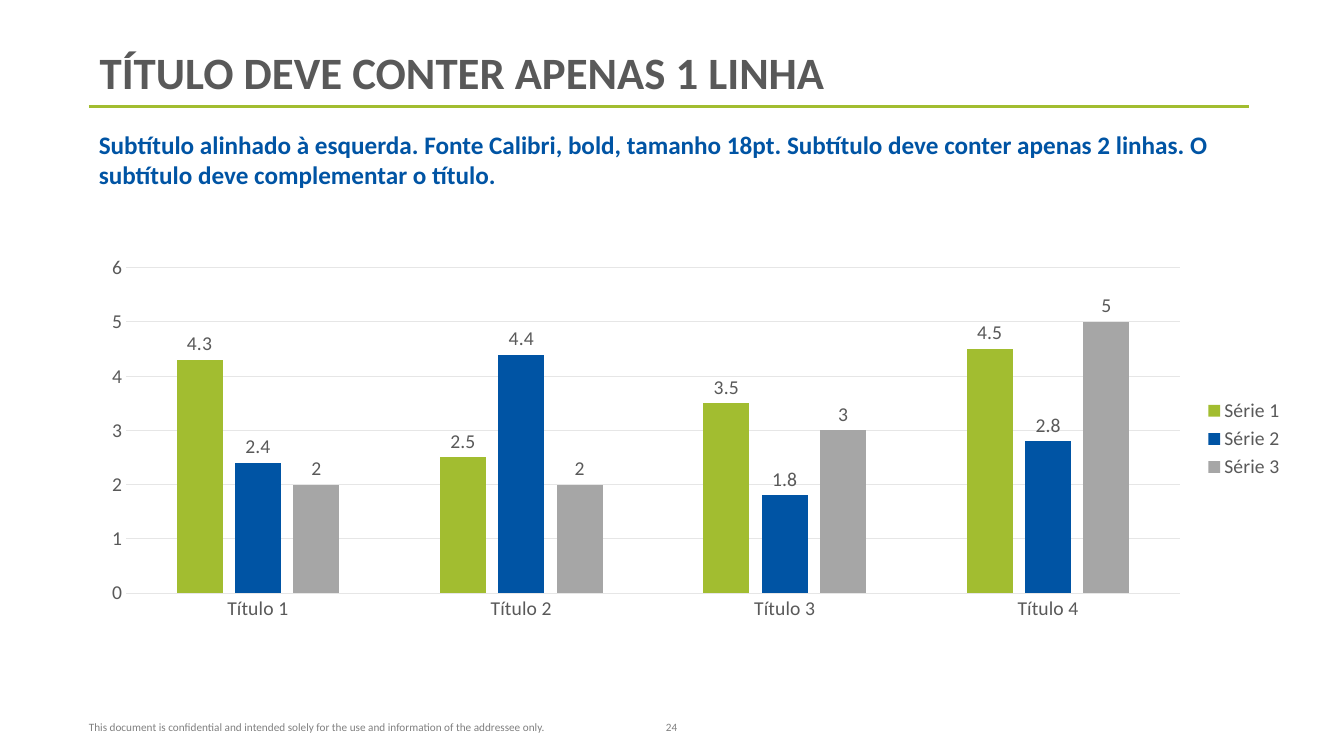
import pptx
import pptx.chart.data
import pptx.dml.color
import pptx.enum.chart
import pptx.enum.shapes
import pptx.enum.text
import pptx.oxml
import pptx.oxml.ns
import pptx.util
from pptx.util import Cm

TITLE = "TÍTULO DEVE CONTER APENAS 1 LINHA"
SUBTITLE = (
    "Subtítulo alinhado à esquerda. Fonte Calibri, bold, tamanho 18pt. "
    "Subtítulo deve conter apenas 2 linhas. O subtítulo deve complementar o título."
)
DISCLAIMER = (
    "This document is confidential and intended solely for the use "
    "and information of the addressee only."
)
PAGE_NUMBER = "24"
CATEGORIES = ["Título 1", "Título 2", "Título 3", "Título 4"]
SERIES = [
    ("Série 1", "A2BD30", (4.3, 2.5, 3.5, 4.5)),
    ("Série 2", "0054A4", (2.4, 4.4, 1.8, 2.8)),
    ("Série 3", "A6A6A6", (2, 2, 3, 5)),
]
PLOT_AREA = {"x": 0.031, "y": 0.115, "w": 0.874, "h": 0.732}

FONT = "Calibri"
GREEN, BLUE, DARK, GREY, PALE = "A2BD30", "0054A4", "595959", "808080", "E6E6E6"
LEFT = Cm(2.24)
TEXT_WIDTH = Cm(29)
FOOTER_TOP, FOOTER_HEIGHT = Cm(18.01), Cm(0.66)

ALIGN = pptx.enum.text.PP_ALIGN
ANCHOR = pptx.enum.text.MSO_ANCHOR


def color(value):
    return pptx.dml.color.RGBColor.from_string(value)


def format_font(font, size, fill, bold=False):
    font.name = FONT
    font.size = pptx.util.Pt(size)
    font.bold = bold
    font.color.rgb = color(fill)


def place(shape, left, top, width, height):
    shape.left, shape.top, shape.width, shape.height = left, top, width, height


def write(shape, text, size, fill, bold=False, align=ALIGN.LEFT, anchor=ANCHOR.TOP,
          spacing=0, line_spacing=1.0, side_margin=Cm(0.25)):
    frame = shape.text_frame
    frame.word_wrap = True
    frame.auto_size = pptx.enum.text.MSO_AUTO_SIZE.NONE
    frame.vertical_anchor = anchor
    frame.margin_left = frame.margin_right = side_margin
    frame.margin_top = frame.margin_bottom = Cm(0.13)
    paragraph = frame.paragraphs[0]
    paragraph.alignment = align
    paragraph.line_spacing = line_spacing
    paragraph.space_before = paragraph.space_after = pptx.util.Pt(spacing)
    run = paragraph.add_run()
    run.text = text
    format_font(run.font, size, fill, bold)
    return paragraph


def remove_bullet(paragraph):
    properties = paragraph._p.get_or_add_pPr()
    properties.set("marL", "0")
    properties.set("indent", "0")
    properties.append(pptx.oxml.parse_xml(f"<a:buNone {pptx.oxml.ns.nsdecls('a')}/>"))


def add_rule(slide):
    top = Cm(2.69)
    rule = slide.shapes.add_connector(
        pptx.enum.shapes.MSO_CONNECTOR.STRAIGHT, LEFT, top, Cm(31.47), top)
    rule.line.color.rgb = color(GREEN)
    rule.line.width = pptx.util.Pt(2.25)
    rule._element.spPr.append(
        pptx.oxml.parse_xml(f"<a:effectLst {pptx.oxml.ns.nsdecls('a')}/>"))


def set_plot_area(chart):
    plot_area = chart.element.xpath("c:chart/c:plotArea")[0]
    for layout in plot_area.xpath("c:layout"):
        plot_area.remove(layout)
    modes = "".join(f'<c:{key}Mode val="edge"/>' for key in "xy")
    sizes = "".join(f'<c:{key} val="{value}"/>' for key, value in PLOT_AREA.items())
    plot_area.insert(0, pptx.oxml.parse_xml(
        f"<c:layout {pptx.oxml.ns.nsdecls('c')}><c:manualLayout>"
        f'<c:layoutTarget val="inner"/>{modes}{sizes}</c:manualLayout></c:layout>'))


def style_axes(chart):
    for axis in (chart.category_axis, chart.value_axis):
        axis.major_tick_mark = axis.minor_tick_mark = pptx.enum.chart.XL_TICK_MARK.NONE
    chart.value_axis.minimum_scale = 0
    chart.value_axis.maximum_scale = 6
    chart.value_axis.major_unit = 1
    chart.value_axis.has_major_gridlines = True
    chart.value_axis.format.line.fill.background()
    for line in (chart.category_axis.format.line,
                 chart.value_axis.major_gridlines.format.line):
        line.color.rgb = color(PALE)
        line.width = pptx.util.Pt(0.75)


def add_bar_chart(slide):
    data = pptx.chart.data.CategoryChartData()
    data.categories = CATEGORIES
    for name, _, values in SERIES:
        data.add_series(name, values)
    chart = slide.shapes.add_chart(
        pptx.enum.chart.XL_CHART_TYPE.COLUMN_CLUSTERED,
        LEFT, Cm(5.46), Cm(30.38), Cm(11.2), data).chart
    format_font(chart.font, 14, DARK)
    chart.has_title = False
    chart.has_legend = True
    chart.legend.position = pptx.enum.chart.XL_LEGEND_POSITION.RIGHT
    chart.legend.include_in_layout = False
    style_axes(chart)
    set_plot_area(chart)

    plot = chart.plots[0]
    plot.vary_by_categories = False
    plot.gap_width = 219
    plot.overlap = -27
    for series, (_, fill, _) in zip(plot.series, SERIES):
        series.format.fill.solid()
        series.format.fill.fore_color.rgb = color(fill)
        labels = series.data_labels
        labels.show_value = True
        labels.position = pptx.enum.chart.XL_LABEL_POSITION.OUTSIDE_END
        format_font(labels.font, 14, DARK)


def main():
    presentation = pptx.Presentation()
    presentation.slide_width = Cm(33.87)
    presentation.slide_height = Cm(19.05)
    slide = presentation.slides.add_slide(presentation.slide_layouts[1])

    title, body = slide.placeholders
    place(title, Cm(2.26), Cm(0.74), TEXT_WIDTH, Cm(1.88))
    write(title, TITLE, 32, DARK, bold=True, anchor=ANCHOR.BOTTOM, line_spacing=0.9)
    place(body, LEFT, Cm(3.12), TEXT_WIDTH, Cm(2.06))
    remove_bullet(write(body, SUBTITLE, 18, BLUE, bold=True))

    add_rule(slide)
    add_bar_chart(slide)

    disclaimer = slide.shapes.add_textbox(LEFT, FOOTER_TOP, Cm(12.47), FOOTER_HEIGHT)
    write(disclaimer, DISCLAIMER, 8, GREY, spacing=3, side_margin=0)
    number = slide.shapes.add_textbox(Cm(16.38), FOOTER_TOP, Cm(1.09), FOOTER_HEIGHT)
    write(number, PAGE_NUMBER, 8, GREY, align=ALIGN.CENTER, spacing=3)

    presentation.save("out.pptx")


if __name__ == "__main__":
    main()
